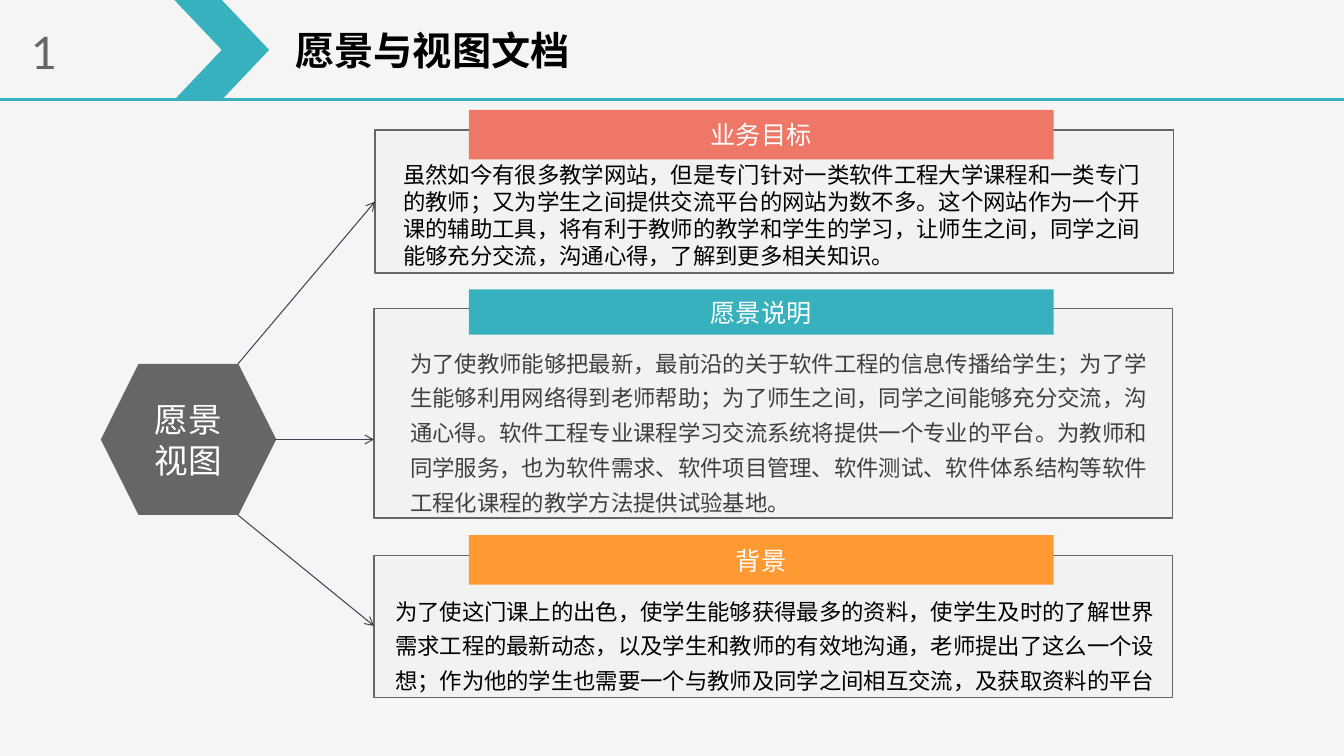
from pptx import Presentation
from pptx.dml.color import RGBColor
from pptx.enum.shapes import MSO_CONNECTOR, MSO_SHAPE
from pptx.enum.text import MSO_ANCHOR, PP_ALIGN
from pptx.oxml.ns import qn
from pptx.util import Inches, Pt
from lxml.etree import SubElement

TEAL = RGBColor(0x38, 0xB1, 0xBF)
CORAL = RGBColor(0xEF, 0x77, 0x68)
ORANGE = RGBColor(0xFF, 0x99, 0x33)
GREY = RGBColor(0x66, 0x66, 0x66)
DARK = RGBColor(0x40, 0x40, 0x40)
SLATE = RGBColor(0x41, 0x44, 0x55)
PALE = RGBColor(0xF2, 0xF2, 0xF2)
PAPER = RGBColor(0xF5, 0xF5, 0xF5)
WHITE = RGBColor(0xFF, 0xFF, 0xFF)
BLACK = RGBColor(0, 0, 0)
HAN = "Noto Sans CJK SC"

TITLE = "愿景与视图文档"
HUB = "愿景\n视图"
CARDS = [
    dict(head="业务目标", color=CORAL, frame=(3.72, 1.29, 7.92, 1.42), bar=(1.09, 0.49),
         text="虽然如今有很多教学网站，但是专门针对一类软件工程大学课程和一类专门的教师；"
              "又为学生之间提供交流平台的网站为数不多。这个网站作为一个开课的辅助工具，"
              "将有利于教师的教学和学生的学习，让师生之间，同学之间能够充分交流，沟通心得，"
              "了解到更多相关知识。",
         body=(3.9, 1.55, 7.65, 1.19), ink=BLACK, space=None),
    dict(head="愿景说明", color=TEAL, frame=(3.71, 3.06, 7.92, 2.08), bar=(2.87, 0.45),
         text="为了使教师能够把最新，最前沿的关于软件工程的信息传播给学生；"
              "为了学生能够利用网络得到老师帮助；为了师生之间，同学之间能够充分交流，沟通心得。"
              "软件工程专业课程学习交流系统将提供一个专业的平台。为教师和同学服务，"
              "也为软件需求、软件项目管理、软件测试、软件体系结构等软件工程化课程的教学方法提供试验基地。",
         body=(3.97, 3.34, 7.65, 1.83), ink=DARK, space=1.3),
    dict(head="背景", color=ORANGE, frame=(3.71, 5.51, 7.92, 1.41), bar=(5.31, 0.49),
         text="为了使这门课上的出色，使学生能够获得最多的资料，"
              "使学生及时的了解世界需求工程的最新动态，以及学生和教师的有效地沟通，"
              "老师提出了这么一个设想；作为他的学生也需要一个与教师及同学之间相互交流，"
              "及获取资料的平台",
         body=(3.82, 5.8, 7.8, 1.12), ink=BLACK, space=1.3),
]
ARROWS = [((2.36, 3.61), (3.72, 2)), ((2.73, 4.36), (3.71, 4.36)), ((2.36, 5.11), (3.71, 6.21))]


def inches(nums):
    return [Inches(n) for n in nums]


def write(shape, text, size, color, font=HAN, align=PP_ALIGN.LEFT, bold=False, space=None):
    frame = shape.text_frame
    frame.text = text
    for par in frame.paragraphs:
        par.alignment = align
        if space:
            par.line_spacing = space
        for run in par.runs:
            run.font.size = Pt(size)
            run.font.bold = bold
            run.font.color.rgb = color
            run.font.name = font
            SubElement(run.font._element, qn("a:ea")).set("typeface", font)


def add_shape(slide, kind, box, fill, edge=None):
    shape = slide.shapes.add_shape(kind, *inches(box))
    shape.shadow.inherit = False
    shape.fill.solid()
    shape.fill.fore_color.rgb = fill
    if edge:
        shape.line.color.rgb = edge
        shape.line.width = Pt(1)
    else:
        shape.line.fill.background()
    shape.text_frame.vertical_anchor = MSO_ANCHOR.MIDDLE
    return shape


def add_text(slide, box, text, size, color, wrap=True, **style):
    shape = slide.shapes.add_textbox(*inches(box))
    shape.text_frame.word_wrap = wrap
    write(shape, text, size, color, **style)


def add_line(slide, start, end, color, width, arrow=False):
    link = slide.shapes.add_connector(MSO_CONNECTOR.STRAIGHT, *inches(start + end))
    link.line.color.rgb = color
    link.line.width = Pt(width)
    if arrow:
        SubElement(link.line._get_or_add_ln(), qn("a:tailEnd")).set("type", "arrow")
    SubElement(link._element.spPr, qn("a:effectLst"))


def add_card(slide, card):
    add_shape(slide, MSO_SHAPE.RECTANGLE, card["frame"], PALE, GREY)
    top, height = card["bar"]
    bar = add_shape(slide, MSO_SHAPE.RECTANGLE, (4.65, top, 5.8, height), card["color"])
    write(bar, card["head"], 18, WHITE, align=PP_ALIGN.CENTER)
    add_text(slide, card["body"], card["text"], 16, card["ink"], space=card["space"])


def main():
    """Build the vision and view slide."""
    deck = Presentation()
    deck.slide_width, deck.slide_height = inches((13.33, 7.5))
    slide = deck.slides.add_slide(deck.slide_layouts[5])
    slide.background.fill.solid()
    slide.background.fill.fore_color.rgb = PAPER

    title = slide.shapes.title
    title.left, title.top, title.width, title.height = inches((2.83, 0.21, 4.46, 0.57))
    title.text_frame.vertical_anchor = MSO_ANCHOR.MIDDLE
    write(title, TITLE, 28, BLACK, bold=True)
    add_line(slide, (0, 0.99), (13.33, 0.99), TEAL, 2.25)
    add_shape(slide, MSO_SHAPE.CHEVRON, (1.73, 0, 0.94, 0.99), TEAL)
    add_text(slide, (0.21, 0.2, 0.49, 0.64), "1", 32, GREY, wrap=False, font="Lato")

    hub = add_shape(slide, MSO_SHAPE.HEXAGON, (1, 3.61, 1.74, 1.5), GREY)
    write(hub, HUB, 24, WHITE, align=PP_ALIGN.CENTER)
    for card in CARDS:
        add_card(slide, card)
    for start, end in ARROWS:
        add_line(slide, start, end, SLATE, 0.75, arrow=True)
    deck.save("out.pptx")


if __name__ == "__main__":
    main()
